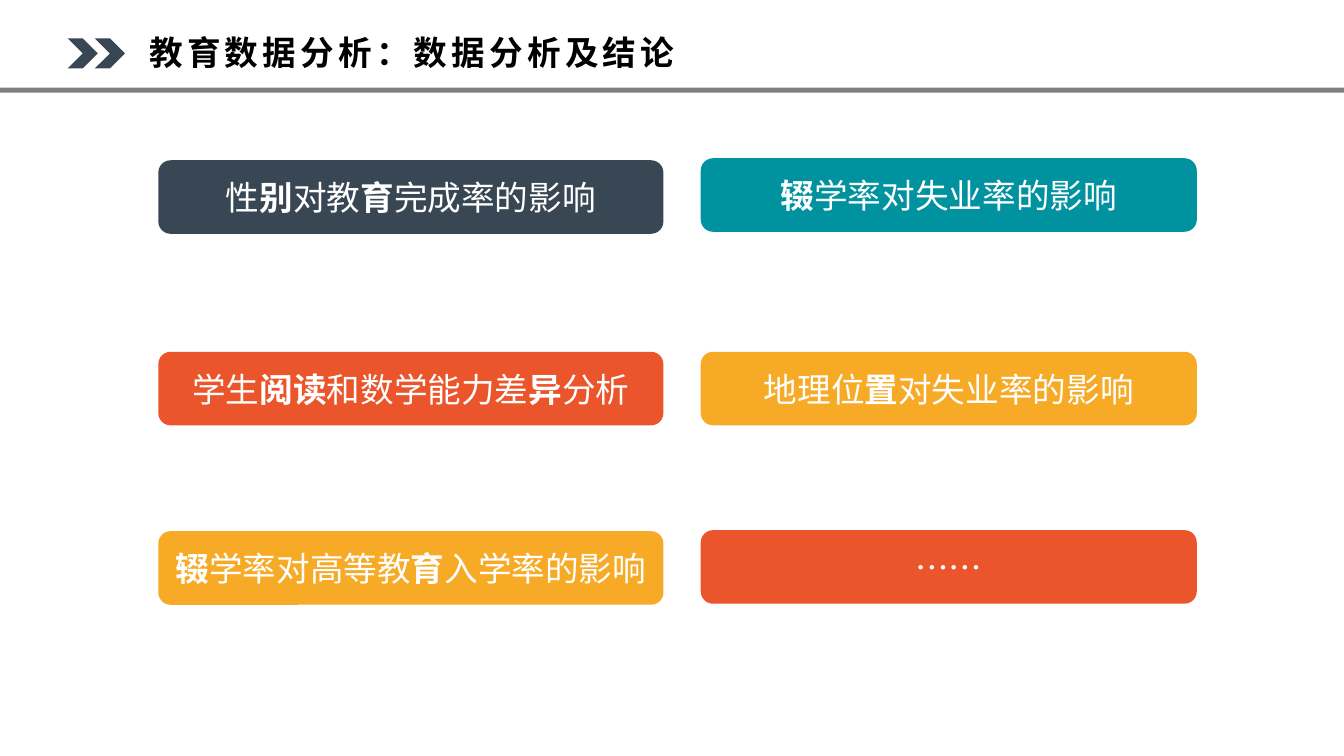
from pptx import Presentation
from pptx.dml.color import RGBColor
from pptx.enum.shapes import MSO_SHAPE
from pptx.enum.text import MSO_ANCHOR, MSO_AUTO_SIZE, PP_ALIGN
from pptx.oxml.ns import qn
from pptx.util import Inches, Pt
from lxml.etree import SubElement

WIDE, HIGH = 13.33, 7.5
FONT = "Noto Sans CJK SC"
HUES = {"navy": "394754", "teal": "00939F", "red": "EA552B",
        "gold": "F6AA26", "gray": "808080", "white": "FFFFFF", "black": "000000"}
COLS = [
    (1.57, 5.01, [
        (1.59, "navy", "性*别*对教*育*完成率的影响"),
        (3.49, "red", "学生*阅读*和数学能力差*异*分析"),
        (5.27, "gold", "*辍*学率对高等教*育*入学率的影响")]),
    (6.95, 4.92, [
        (1.57, "teal", "*辍*学率对失业率的影响"),
        (3.49, "gold", "地理位*置*对失业率的影响"),
        (5.26, "red", "……")]),
]
CARD = 0.73
ARROW = 0.3


def paint(hue):
    return RGBColor.from_string(HUES[hue])


def write(frame, text, hue, align, gap=0):
    para = frame.paragraphs[0]
    para.alignment = align
    for i, part in enumerate(text.split("*")):
        if not part:
            continue
        run = para.add_run()
        run.text = part
        font = run.font
        font.size = Pt(24)
        font.bold = i % 2 == 1
        font.color.rgb = paint(hue)
        font.name = FONT
        props = run._r.get_or_add_rPr()
        props.set("lang", "zh-CN")
        if gap:
            props.set("spc", str(gap * 100))
        SubElement(props, qn("a:ea")).set("typeface", FONT)


def block(shapes, kind, box, hue):
    shape = shapes.add_shape(kind, *map(Inches, box))
    shape.shadow.inherit = False
    shape.fill.solid()
    shape.fill.fore_color.rgb = paint(hue)
    shape.line.fill.background()
    return shape


def card(slide, box, hue, text):
    shape = block(slide.shapes, MSO_SHAPE.ROUNDED_RECTANGLE, box, hue)
    frame = shape.text_frame
    frame.word_wrap = True
    frame.vertical_anchor = MSO_ANCHOR.MIDDLE
    write(frame, text, "white", PP_ALIGN.CENTER)


def title(slide, text):
    head = slide.shapes.title
    head.left, head.top, head.width, head.height = map(Inches, (1.34, 0.25, 5.61, 0.55))
    frame = head.text_frame
    frame.word_wrap = False
    frame.auto_size = MSO_AUTO_SIZE.SHAPE_TO_FIT_TEXT
    frame.vertical_anchor = MSO_ANCHOR.TOP
    frame.margin_left = frame.margin_right = Inches(0.14)
    frame.margin_top = frame.margin_bottom = Inches(0.07)
    write(frame, f"*{text}*", "black", PP_ALIGN.LEFT, 3)


def arrows(slide):
    group = slide.shapes.add_group_shape()
    for i in range(2):
        box = (0.67 + i * 0.27, 0.38, ARROW, ARROW)
        block(group.shapes, MSO_SHAPE.CHEVRON, box, "navy")


def main():
    deck = Presentation()
    deck.slide_width, deck.slide_height = Inches(WIDE), Inches(HIGH)
    slide = deck.slides.add_slide(deck.slide_layouts[5])
    title(slide, "教育数据分析：数据分析及结论")
    arrows(slide)
    block(slide.shapes, MSO_SHAPE.RECTANGLE, (0, 0.87, WIDE, 0.05), "gray")
    for left, width, cards in COLS:
        for top, hue, text in cards:
            card(slide, (left, top, width, CARD), hue, text)
    deck.save("out.pptx")


if __name__ == "__main__":
    main()
